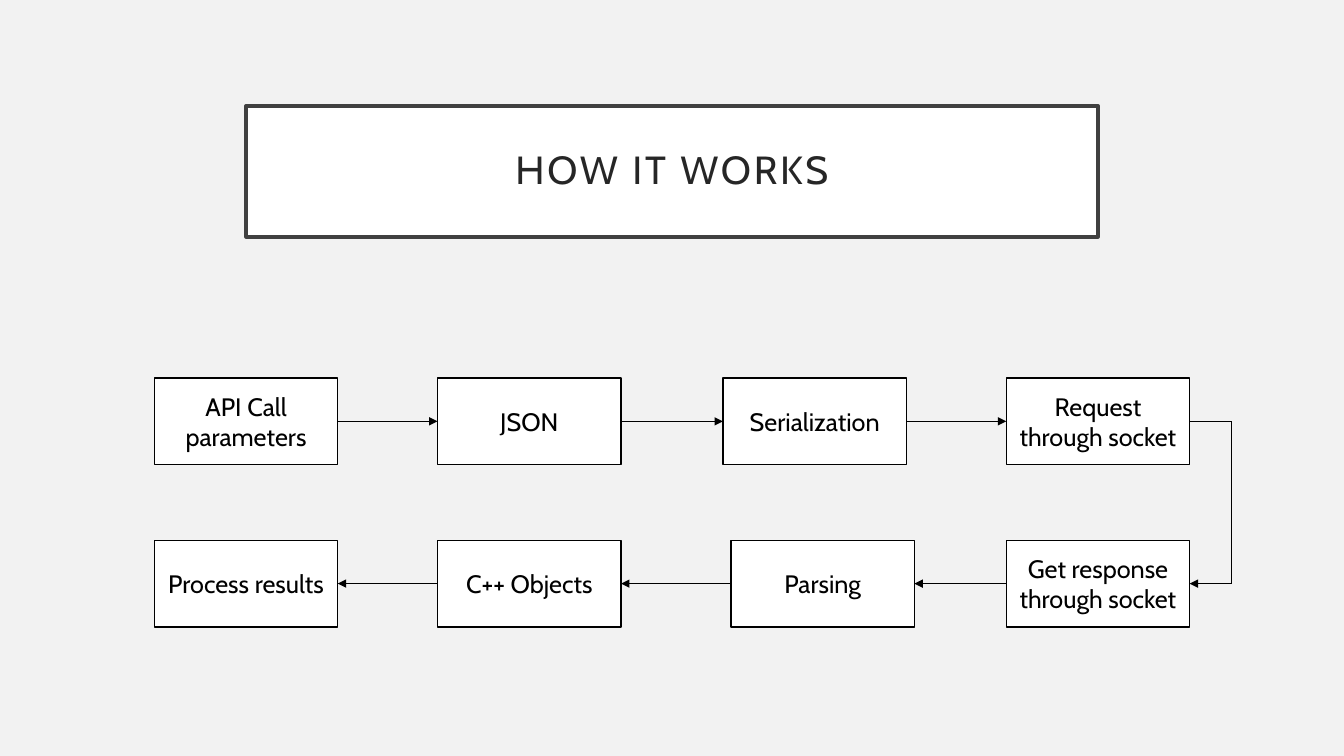
"""Builds a slide with a boxed title and a two-row process flow."""
from lxml import etree
from pptx import Presentation
from pptx.dml.color import RGBColor
from pptx.enum import shapes, text
from pptx.oxml.ns import qn
from pptx.util import Inches, Pt

FONT = "Cabin"
WIDE, HIGH = 1.82, 0.86


def color(code):
    """Turn a hex string into a colour."""
    return RGBColor.from_string(code)


def paint(shape, edge, width):
    """Give a shape a white fill and a solid outline."""
    shape.fill.solid()
    shape.fill.fore_color.rgb = color("FFFFFF")
    shape.line.color.rgb = color(edge)
    shape.line.width = Pt(width)


def write(shape, words, size, ink):
    """Write one centred run in a shape and return the run."""
    frame = shape.text_frame
    frame.word_wrap = True
    frame.auto_size = text.MSO_AUTO_SIZE.NONE
    frame.vertical_anchor = text.MSO_ANCHOR.MIDDLE
    para = frame.paragraphs[0]
    para.alignment = text.PP_ALIGN.CENTER
    run = para.add_run()
    run.text = words
    run.font.name = FONT
    run.font.size = Pt(size)
    run.font.color.rgb = color(ink)
    return run


def head(slide, left, top, width, height):
    """Place the framed title."""
    title = slide.shapes.title
    title.left, title.top = Inches(left), Inches(top)
    title.width, title.height = Inches(width), Inches(height)
    paint(title, "404040", 2.5)
    run = write(title, "HOW IT WORKS", 28, "262626")
    run.font._element.set("spc", "200")
    frame = title.text_frame
    frame.paragraphs[0].line_spacing = 0.9
    frame.margin_left = frame.margin_right = Inches(0.2)
    frame.margin_top = frame.margin_bottom = Inches(0.2)


def link(slide, start, end, arrow=True):
    """Draw a thin line between two points, with an arrowhead if asked."""
    ends = [Inches(value) for value in (*start, *end)]
    line = slide.shapes.add_connector(shapes.MSO_CONNECTOR.STRAIGHT, *ends)
    line.line.color.rgb = color("000000")
    line.line.width = Pt(0.5)
    if arrow:
        tip = etree.SubElement(line.line._get_or_add_ln(), qn("a:tailEnd"))
        tip.set("type", "triangle")
    etree.SubElement(line._element.spPr, qn("a:effectLst"))


def step(slide, left, top, words):
    """Place one step box."""
    box = slide.shapes.add_shape(
        shapes.MSO_SHAPE.RECTANGLE,
        Inches(left), Inches(top), Inches(WIDE), Inches(HIGH))
    box.shadow.inherit = False
    paint(box, "000000", 1)
    write(box, words, 18, "000000")


def row(slide, left, top, steps, back=False):
    """Place a row of steps at their offsets, joined by arrows."""
    mid = top + HIGH / 2
    for shift, words in steps:
        step(slide, left + shift, top, words)
    for (shift, _), (after, _) in zip(steps, steps[1:]):
        ends = [(left + shift + WIDE, mid), (left + after, mid)]
        link(slide, *(reversed(ends) if back else ends))


def turn(slide, left, top, width, height):
    """Lead the flow from the upper row round to the lower row."""
    right, low = left + width, top + height
    link(slide, (left, top), (right, top), False)
    link(slide, (right, top), (right, low), False)
    link(slide, (right, low), (left, low))


def flow(slide, left, top):
    """Place both rows and the turn between them."""
    drop, last = 1.61, 8.45
    row(slide, left, top, [
        (0, "API Call parameters"), (2.81, "JSON"),
        (5.64, "Serialization"), (last, "Request through socket")])
    row(slide, left, top + drop, [
        (0, "Process results"), (2.81, "C++ Objects"),
        (5.72, "Parsing"), (last, "Get response through socket")], True)
    turn(slide, left + last + WIDE, top + HIGH / 2, 0.41, drop)


def main():
    """Build and save the slide."""
    deck = Presentation()
    deck.slide_width, deck.slide_height = Inches(13.33), Inches(7.5)
    slide = deck.slides.add_slide(deck.slide_layouts.get_by_name("Title Only"))
    slide.background.fill.solid()
    slide.background.fill.fore_color.rgb = color("F2F2F2")
    head(slide, 2.44, 1.05, 8.45, 1.3)
    flow(slide, 1.53, 3.75)
    deck.save("out.pptx")


if __name__ == "__main__":
    main()
